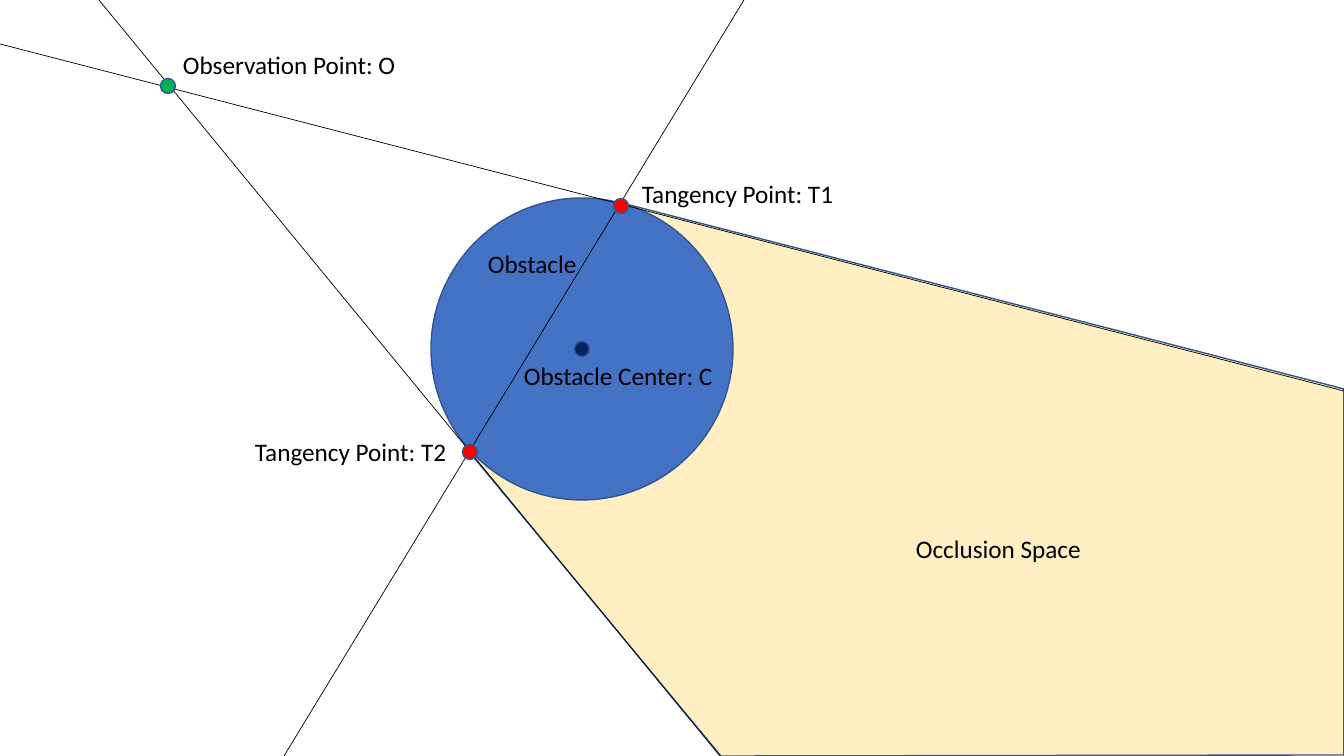
"""Builds a slide showing the space that a round obstacle hides from an observer."""
from lxml import etree
from pptx import Presentation
from pptx import util as u
from pptx.dml.color import RGBColor
from pptx.enum import shapes, text
from pptx.oxml.ns import qn

SCALE = u.Inches(1) / 100.8
WIDTH, HEIGHT = 1344, 756

BLACK = RGBColor(0x00, 0x00, 0x00)
OUTLINE = RGBColor(0x32, 0x54, 0x91)
BLUE = RGBColor(0x44, 0x72, 0xC4)
NAVY = RGBColor(0x00, 0x20, 0x60)
GREEN = RGBColor(0x00, 0xB0, 0x50)
RED = RGBColor(0xFF, 0x00, 0x00)
AMBER = RGBColor(0xFF, 0xC0, 0x00)

OCCLUSION = [(471, 454), (622, 203), (WIDTH, 389), (WIDTH, 755), (721, HEIGHT)]
OCCLUSION_ALPHA = 24
CENTER = (582, 349)
OBSTACLE_SIZE, POINT_SIZE = 302, 15

LINES = [
    ((99, 0), (720, HEIGHT)),
    ((0, 44), (WIDTH, 391)),
    ((284, HEIGHT), (744, 0)),
]
POINTS = [
    ((168, 86), GREEN),
    ((470, 452), RED),
    ((621, 206), RED),
    (CENTER, NAVY),
]
LABEL_HEIGHT = 40
LABELS = [
    ("Observation Point: O", 173, 44, 236),
    ("Tangency Point: T1", 632, 173, 236),
    ("Tangency Point: T2", 245, 431, 236),
    ("Obstacle", 478, 243, 236),
    ("Occlusion Space", 906, 528, 236),
    ("Obstacle Center: C", 514, 355, 216),
]


def emu(*lengths):
    return [u.Emu(round(n * SCALE)) for n in lengths]


def paint(sp, color):
    sp.shadow.inherit = False
    sp.fill.solid()
    sp.fill.fore_color.rgb = color
    sp.line.color.rgb = OUTLINE
    sp.line.width = u.Pt(1)


def add_occlusion(s):
    builder = s.shapes.build_freeform(*OCCLUSION[0], scale=SCALE)
    builder.add_line_segments(OCCLUSION[1:], close=True)
    sp = builder.convert_to_shape()
    paint(sp, AMBER)
    color = sp._element.spPr.find(qn("a:solidFill"))[0]
    etree.SubElement(color, qn("a:alpha"), val=str(OCCLUSION_ALPHA * 1000))


def add_circle(s, center, size, color):
    x, y = center
    box = emu(x - size / 2, y - size / 2, size, size)
    paint(s.shapes.add_shape(shapes.MSO_SHAPE.OVAL, *box), color)


def add_line(s, start, end):
    line = s.shapes.add_connector(shapes.MSO_CONNECTOR.STRAIGHT, *emu(*start, *end))
    line.line.color.rgb = BLACK
    line.line.width = u.Pt(0.5)
    etree.SubElement(line._element.spPr, qn("a:effectLst"))


def add_label(s, words, left, top, width):
    tf = s.shapes.add_textbox(*emu(left, top, width, LABEL_HEIGHT)).text_frame
    tf.word_wrap = True
    tf.auto_size = text.MSO_AUTO_SIZE.SHAPE_TO_FIT_TEXT
    tf.text = words
    font = tf.paragraphs[0].runs[0].font
    font.name, font.size = "Calibri", u.Pt(18)
    font.color.rgb = BLACK


def main():
    prs = Presentation()
    prs.slide_width, prs.slide_height = emu(WIDTH, HEIGHT)
    s = prs.slides.add_slide(prs.slide_layouts[6])
    add_occlusion(s)
    add_circle(s, CENTER, OBSTACLE_SIZE, BLUE)
    for start, end in LINES:
        add_line(s, start, end)
    for center, color in POINTS:
        add_circle(s, center, POINT_SIZE, color)
    for label in LABELS:
        add_label(s, *label)
    prs.save("out.pptx")


if __name__ == "__main__":
    main()
